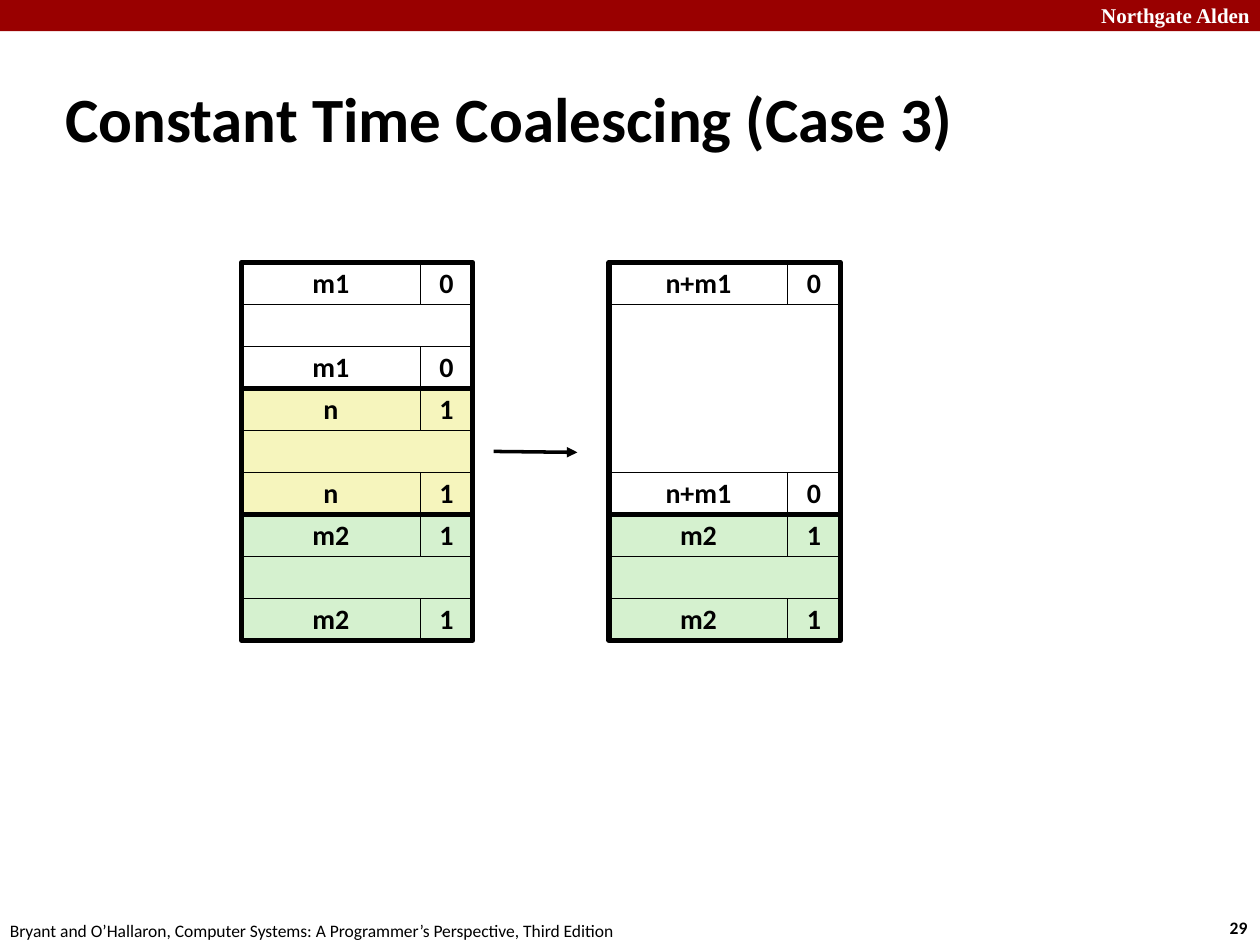
"""Build the constant time coalescing slide for case 3."""
from dataclasses import dataclass
from typing import Optional

from lxml import etree
from pptx import Presentation
from pptx import util as u
from pptx.dml.color import RGBColor
from pptx.enum import shapes, text
from pptx.oxml import ns

BLACK = RGBColor(0x00, 0x00, 0x00)
WHITE = RGBColor(0xFF, 0xFF, 0xFF)
RED = RGBColor(0x99, 0x00, 0x00)
YELLOW = RGBColor(0xF6, 0xF5, 0xBD)
GREEN = RGBColor(0xD5, 0xF1, 0xCF)

ROW = 2.54 / 3
SIZE_WIDTH, FLAG_WIDTH = 3.6, 1.06
BLOCK_WIDTH = SIZE_WIDTH + FLAG_WIDTH
HEAP_TOP = 5.29
THIN, THICK = 0.26, 3


@dataclass(frozen=True)
class Block:
    """A heap block with equal header and footer tags."""
    size: str
    flag: str
    color: RGBColor
    rows: int = 3


@dataclass(frozen=True)
class Label:
    """A line of text in the slide frame."""
    words: str
    left: float
    top: float
    width: float
    size: int
    color: RGBColor = BLACK
    font: str = "Calibri"
    bold: bool = True


HEAPS = {
    4.87: [Block("m1", "0", WHITE), Block("n", "1", YELLOW), Block("m2", "1", GREEN)],
    12.28: [Block("n+m1", "0", WHITE, 6), Block("m2", "1", GREEN)],
}
LABELS = [
    Label("Northgate Alden", 21.95, -0.08, 3.63, 12, WHITE, "Times New Roman"),
    Label("29", 24.54, 18.36, 0.94, 10),
    Label("Bryant and O’Hallaron, Computer Systems: A Programmer’s Perspective, Third Edition",
          -0.05, 18.42, 12.9, 10, bold=False),
]


def write(shape, words: str, size: int, color: RGBColor = BLACK,
          font: str = "Calibri", bold: bool = True):
    """Put one formatted line into a shape and return its paragraph."""
    paragraph = shape.text_frame.paragraphs[0]
    run = paragraph.add_run()
    run.text = words
    formats = {"name": font, "size": u.Pt(size), "bold": bold}
    for name, value in formats.items():
        setattr(run.font, name, value)
    run.font.color.rgb = color
    return paragraph


def add_box(slide, left: float, top: float, width: float, height: float,
            fill: Optional[RGBColor], line: Optional[float], words: str = "") -> None:
    """Draw a rectangle with an optional fill, outline and centred text."""
    shape = slide.shapes.add_shape(shapes.MSO_SHAPE.RECTANGLE, u.Cm(left), u.Cm(top),
                                   u.Cm(width), u.Cm(height))
    shape.shadow.inherit = False
    if fill is None:
        shape.fill.background()
    else:
        shape.fill.solid()
        shape.fill.fore_color.rgb = fill
    if line is None:
        shape.line.fill.background()
    else:
        shape.line.color.rgb = BLACK
        shape.line.width = u.Pt(line)
    if words:
        shape.text_frame.word_wrap = False
        shape.text_frame.vertical_anchor = text.MSO_ANCHOR.MIDDLE
        paragraph = write(shape, words, 16)
        paragraph.alignment = text.PP_ALIGN.CENTER
        paragraph.line_spacing = 0.98


def add_block(slide, left: float, top: float, block: Block) -> None:
    """Draw the payload, both tags and the outline of a block."""
    height = block.rows * ROW
    add_box(slide, left, top + ROW, BLOCK_WIDTH, height - 2 * ROW, block.color, THIN)
    for tag_top in (top, top + height - ROW):
        add_box(slide, left, tag_top, SIZE_WIDTH, ROW, block.color, THIN, block.size)
        add_box(slide, left + SIZE_WIDTH, tag_top, FLAG_WIDTH, ROW, block.color, THIN, block.flag)
    add_box(slide, left, top, BLOCK_WIDTH, height, None, THICK)


def add_heap(slide, left: float, blocks: list[Block]) -> None:
    """Stack blocks downwards from the top of the heap."""
    top = HEAP_TOP
    for block in blocks:
        add_block(slide, left, top, block)
        top += block.rows * ROW


def add_arrow(slide, left: float, top: float, right: float, bottom: float) -> None:
    """Draw a straight arrow between two points."""
    arrow = slide.shapes.add_connector(shapes.MSO_CONNECTOR.STRAIGHT, u.Cm(left), u.Cm(top),
                                       u.Cm(right), u.Cm(bottom))
    arrow.line.color.rgb = BLACK
    arrow.line.width = u.Pt(2)
    etree.SubElement(arrow.line._get_or_add_ln(), ns.qn("a:tailEnd"), type="triangle")
    etree.SubElement(arrow._element.spPr, ns.qn("a:effectLst"))


def add_label(slide, label: Label) -> None:
    """Add an unwrapped text box for a label."""
    box = slide.shapes.add_textbox(u.Cm(label.left), u.Cm(label.top),
                                   u.Cm(label.width), u.Cm(0.7))
    box.text_frame.word_wrap = False
    write(box, label.words, label.size, label.color, label.font, label.bold)


def set_title(slide, words: str) -> None:
    """Place and format the title placeholder."""
    title = slide.shapes.title
    bounds = {"left": 1.06, "top": 1.57, "width": 23.28, "height": 1.6}
    for name, value in bounds.items():
        setattr(title, name, u.Cm(value))
    frame_formats = {"word_wrap": True, "auto_size": text.MSO_AUTO_SIZE.NONE,
                     "vertical_anchor": text.MSO_ANCHOR.MIDDLE}
    for name, value in frame_formats.items():
        setattr(title.text_frame, name, value)
    write(title, words, 36).alignment = text.PP_ALIGN.LEFT


def main() -> None:
    """Assemble and save the presentation."""
    presentation = Presentation()
    presentation.slide_width, presentation.slide_height = u.Cm(25.4), u.Cm(19.05)
    slide = presentation.slides.add_slide(presentation.slide_layouts[5])
    add_box(slide, 0, 0, 25.4, 0.63, RED, None)
    for label in LABELS:
        add_label(slide, label)
    set_title(slide, "Constant Time Coalescing (Case 3)")
    for left, blocks in HEAPS.items():
        add_heap(slide, left, blocks)
    add_arrow(slide, 9.95, 9.1, 11.64, 9.12)
    presentation.save("out.pptx")


main()
